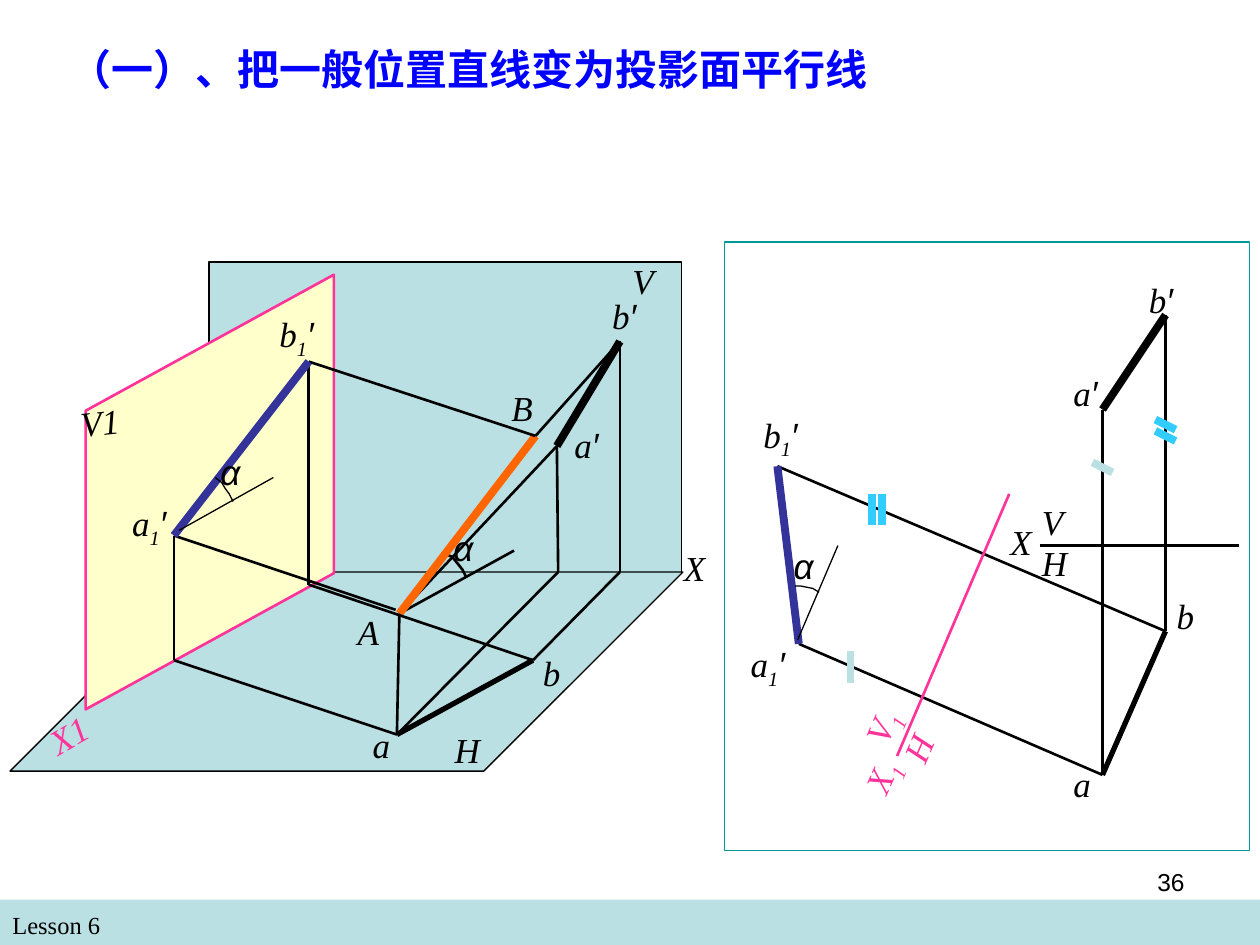
from dataclasses import dataclass

from pptx import Presentation
from pptx.dml.color import RGBColor
from pptx.enum.shapes import MSO_CONNECTOR, MSO_SHAPE
from pptx.enum.text import PP_ALIGN
from pptx.oxml import parse_xml
from pptx.oxml.ns import nsdecls
from pptx.util import Cm, Pt


@dataclass(frozen=True)
class Theme:
    """Colours, typefaces, type sizes and line widths of the slide."""

    black: str = "000000"
    plane: str = "BBE0E3"
    new_plane: str = "FFFFCC"
    pink: str = "FF3399"
    navy: str = "333399"
    orange: str = "FF6600"
    sky: str = "33CCFF"
    teal: str = "009999"
    blue: str = "0000FF"
    serif: str = "Times New Roman"
    sans: str = "Arial"
    title_size: int = 24
    label_size: int = 20
    footer_size: int = 14
    thin: float = 0.75
    normal: float = 1.5
    thick: float = 3
    heavy: float = 4.5


THEME = Theme()


def length(inches):
    """Convert a drawing coordinate in inches to a slide length."""
    return Cm(inches * 2.54)


class Drawing:
    """Draws the elements of a projection diagram on one slide."""

    def __init__(self, slide, theme):
        self.slide = slide
        self.theme = theme

    def paint(self, shape, fill, line, width):
        """Give a shape its fill and outline."""
        shape.shadow.inherit = False
        if fill:
            shape.fill.solid()
            shape.fill.fore_color.rgb = RGBColor.from_string(fill)
        else:
            shape.fill.background()
        if line:
            shape.line.color.rgb = RGBColor.from_string(line)
            shape.line.width = Pt(width)
        else:
            shape.line.fill.background()

    def rectangle(self, left, top, width, height, fill=None, line=None):
        """Add a rectangle."""
        box = map(length, (left, top, width, height))
        shape = self.slide.shapes.add_shape(MSO_SHAPE.RECTANGLE, *box)
        self.paint(shape, fill, line, self.theme.thin)

    def outline(self, points, fill=None, line=THEME.black, width=THEME.thin):
        """Add a closed polygon when filled, otherwise an open curve."""
        corners = [(length(x), length(y)) for x, y in points]
        builder = self.slide.shapes.build_freeform(*corners[0])
        builder.add_line_segments(corners[1:], close=bool(fill))
        self.paint(builder.convert_to_shape(), fill, line, width)

    def line(self, start, end, width=THEME.normal, color=THEME.black):
        """Add a straight line between two points."""
        ends = map(length, (*start, *end))
        connector = self.slide.shapes.add_connector(MSO_CONNECTOR.STRAIGHT, *ends)
        connector.line.color.rgb = RGBColor.from_string(color)
        connector.line.width = Pt(width)
        connector._element.spPr.append(parse_xml(f"<a:effectLst {nsdecls('a')}/>"))

    def text(self, box, words, size, font, color=THEME.black, wrap=True):
        """Add a text box and return it with its paragraph."""
        shape = self.slide.shapes.add_textbox(*map(length, box))
        shape.text_frame.word_wrap = wrap
        paragraph = shape.text_frame.paragraphs[0]
        paragraph.add_run().text = words
        paragraph.font.size = Pt(size)
        paragraph.font.name = font
        paragraph.font.color.rgb = RGBColor.from_string(color)
        return shape, paragraph

    def label(self, left, top, letter, index="", prime="", width=0.67,
              color=THEME.black, angle=0, font=THEME.serif):
        """Add an italic point name with optional subscript and prime."""
        box = (left, top, width, 0.48 if index else 0.44)
        shape, paragraph = self.text(box, letter, self.theme.label_size, font, color)
        shape.rotation = angle
        paragraph.font.italic = True
        if index:
            run = paragraph.add_run()
            run.text = index
            run._r.get_or_add_rPr().set("baseline", "-25000")
        if prime:
            run = paragraph.add_run()
            run.text = prime
            run.font.name = self.theme.sans


def draw_space_view(drawing, theme):
    """Draw the planes V, H and V1 with the line AB in space."""
    A, B, a, b = (3.17, 4.87), (4.25, 3.46), (3.15, 5.83), (4.23, 5.24)
    a_front, b_front = (4.42, 3.54), (4.92, 2.71)
    a_axis, b_axis = (4.43, 4.54), (4.92, 4.54)
    a_new, b_new = (1.38, 4.25), (2.45, 2.87)
    a_new_axis, b_new_axis = (1.38, 5.24), (2.45, 4.64)

    drawing.rectangle(1.66, 2.08, 3.75, 2.47, theme.plane, theme.black)
    drawing.outline([(1.66, 4.54), (0.08, 6.12), (3.84, 6.12), (5.42, 4.54)], theme.plane)
    drawing.label(4.92, 2.01, "V")
    drawing.label(3.51, 5.73, "H")
    drawing.label(5.33, 4.29, "X")
    for start, end in ((b_front, b_axis), (a_front, a_axis), (b_axis, b), (a_axis, a),
                       (b_front, B), (a_front, A), (A, a), (A, (4.08, 4.37))):
        drawing.line(start, end)
    drawing.line(a, b, theme.thick)
    drawing.line(b_front, a_front, theme.heavy)
    drawing.label(2.74, 4.8, "A")
    drawing.label(4.46, 3.31, "a", prime="′")
    drawing.label(3.96, 3.02, "B")
    drawing.label(4.76, 2.29, "b", prime="′")
    drawing.label(3.5, 4.13, "α", font=theme.sans)
    drawing.label(2.86, 5.69, "a")
    drawing.label(4.21, 5.12, "b")
    drawing.outline([(3.52, 4.39), (3.59, 4.42), (3.63, 4.47), (3.67, 4.52), (3.7, 4.58)],
                    width=theme.normal)
    drawing.line(B, A, theme.heavy, theme.orange)

    drawing.outline([(0.68, 5.63), (2.65, 4.55), (2.65, 2.18), (0.68, 3.26)],
                    theme.new_plane, theme.pink, theme.normal)
    drawing.label(0.54, 3.12, "V1", angle=354.2)
    drawing.label(0.27, 5.53, "X1", width=0.83, color=theme.pink, angle=330.3)
    drawing.label(0.95, 3.93, "a", "1", "′")
    drawing.label(2.12, 2.43, "b", "1", "′")
    for start, end in ((b_new, b_new_axis), (B, b_new), ((3.14, 4.84), a_new),
                       (a, a_new_axis), (b, b_new_axis)):
        drawing.line(start, end)
    drawing.line(a_new, a_new_axis, theme.thin)
    drawing.line(b_new, a_new, theme.heavy, theme.navy)
    drawing.line((1.42, 4.21), (2.17, 3.79), theme.thin)
    drawing.outline([(1.71, 3.79), (1.76, 3.83), (1.79, 3.88), (1.82, 3.92), (1.85, 3.98)])
    drawing.label(1.65, 3.53, "α", font=theme.sans)


def draw_projection_view(drawing, theme):
    """Draw the unfolded projections with the new axis X1."""
    a, b = (8.75, 6.15), (9.25, 5.01)
    a_front, b_front = (8.75, 3.25), (9.25, 2.5)
    a_new, b_new = (6.34, 5.11), (6.17, 3.7)

    drawing.line(b_new, b)
    drawing.line(a_new, a)
    drawing.label(5.86, 5.05, "a", "1", "′")
    drawing.label(5.96, 3.23, "b", "1", "′")
    drawing.line(b_new, a_new, theme.heavy, theme.navy)
    drawing.line((6.33, 5.08), (6.65, 4.33), theme.thin)
    drawing.outline([(6.31, 4.65), (6.35, 4.65), (6.4, 4.66), (6.45, 4.67), (6.5, 4.7)])
    drawing.label(6.2, 4.27, "α", font=theme.sans)

    drawing.line((8.01, 3.92), (7.12, 6), color=theme.pink)
    drawing.label(6.67, 5.76, "X", "1", width=0.83, color=theme.pink, angle=293.9)
    drawing.label(6.75, 5.48, "V", "1", width=0.57, color=theme.pink, angle=293.3)
    drawing.label(7.08, 5.71, "H", width=0.42, color=theme.pink, angle=293.3)

    drawing.line((8.25, 4.33), (9.83, 4.33))
    drawing.line(b_front, b)
    drawing.line(a_front, a)
    drawing.line(b, a, theme.thick)
    drawing.label(9.24, 4.67, "b")
    drawing.label(8.42, 6, "a")
    drawing.label(9.02, 2.16, "b", prime="′")
    drawing.label(8.42, 2.9, "a", prime="′")
    drawing.label(7.92, 4.08, "X")
    drawing.line(b_front, a_front, theme.heavy)
    drawing.label(8.17, 3.92, "V")
    drawing.label(8.17, 4.25, "H")
    drawing.rectangle(5.75, 1.92, 4.17, 4.83, line=theme.teal)

    for x, y, color in ((6.92, 3.92, theme.sky), (7, 3.92, theme.sky), (6.75, 5.17, theme.plane)):
        drawing.line((x, y), (x, y + 0.25), theme.heavy, color)
    for x, y, color in ((8.67, 3.67, theme.plane), (9.17, 3.33, theme.sky), (9.17, 3.42, theme.sky)):
        drawing.line((x, y), (x + 0.16, y + 0.08), theme.heavy, color)


def main():
    """Build the slide and save it."""
    presentation = Presentation()
    presentation.slide_width, presentation.slide_height = Cm(25.4), Cm(19.05)
    slide = presentation.slides.add_slide(presentation.slide_layouts[6])
    drawing = Drawing(slide, THEME)
    drawing.rectangle(0, 7.14, 10, 0.36, THEME.plane)
    drawing.text((0, 7.17, 4.83, 0.34), "Lesson 6", THEME.footer_size, THEME.serif)
    draw_space_view(drawing, THEME)
    draw_projection_view(drawing, THEME)
    title = drawing.text((0.45, 0.3, 6.53, 0.5), "（一）、把一般位置直线变为投影面平行线",
                         THEME.title_size, THEME.sans, THEME.blue, wrap=False)[1]
    title.font.bold = True
    number = drawing.text((7.17, 6.83, 2.33, 0.52), "36", THEME.footer_size, THEME.sans)[1]
    number.alignment = PP_ALIGN.RIGHT
    presentation.save("out.pptx")


if __name__ == "__main__":
    main()
